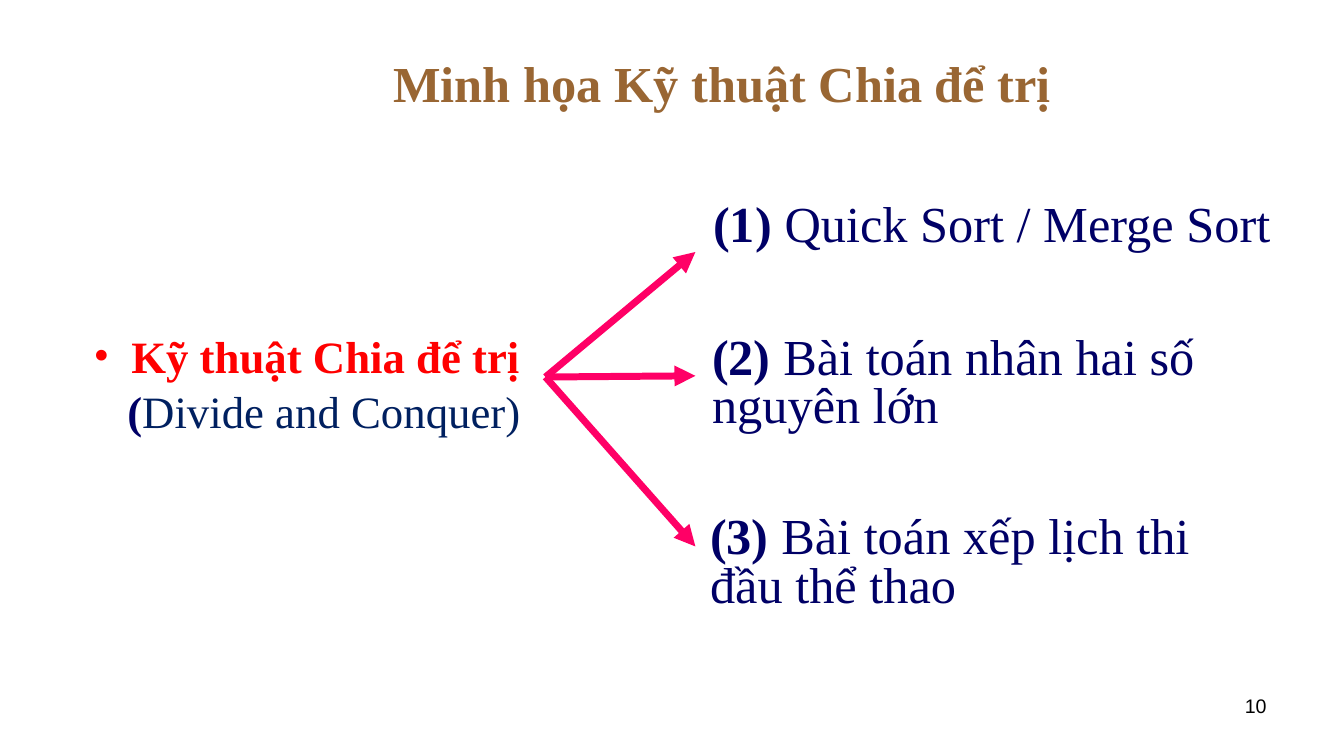
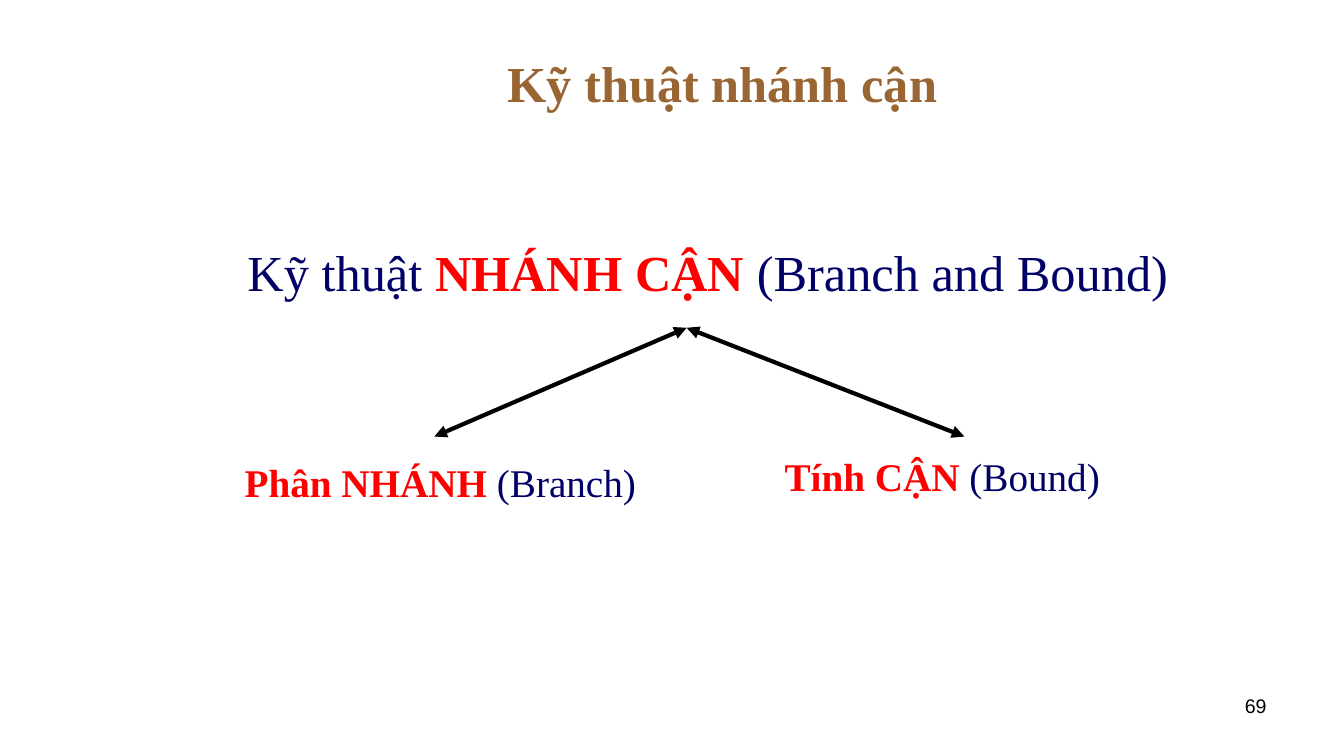
from lxml.etree import SubElement
from pptx import Presentation
from pptx.dml.color import RGBColor
from pptx.enum.shapes import MSO_CONNECTOR
from pptx.enum.text import MSO_ANCHOR, PP_ALIGN
from pptx.oxml.ns import qn
from pptx.util import Cm, Pt

BROWN, NAVY, RED = "996633", "000066", "FF0000"
BLUE, PINK, BLACK = "002060", "FF0066", "000000"
SERIF, SANS = "Times New Roman", "Arial"


def add_text(slide, box, size, paragraphs, font=SERIF, align=PP_ALIGN.LEFT,
             spacing=1.0, anchor=MSO_ANCHOR.TOP):
    """Add a text box; each paragraph is a list of (text, colour, bold) runs."""
    tf = slide.shapes.add_textbox(*[Cm(v) for v in box]).text_frame
    tf.word_wrap = True
    tf.vertical_anchor = anchor
    for i, runs in enumerate(paragraphs):
        p = tf.add_paragraph() if i else tf.paragraphs[0]
        p.alignment = align
        p.line_spacing = spacing
        for text, colour, bold in runs:
            r = p.add_run()
            r.text = text
            r.font.name = font
            r.font.size = Pt(size)
            r.font.bold = bold
            r.font.color.rgb = RGBColor.from_string(colour)
    return tf


def add_arrow(slide, start, end, colour, width, ends):
    line = slide.shapes.add_connector(
        MSO_CONNECTOR.STRAIGHT, *[Cm(v) for v in start + end])
    line.line.color.rgb = RGBColor.from_string(colour)
    line.line.width = Pt(width)
    ln = line.line._get_or_add_ln()
    for tag in ends:
        SubElement(ln, qn(tag), type="triangle")
    SubElement(line._element.spPr, qn("a:effectLst"))


prs = Presentation()
prs.slide_width, prs.slide_height = Cm(33.88), Cm(19.05)

# Shared title and page number
slides = []
for title, number in (("Minh họa Kỹ thuật Chia để trị", "10"),
                      ("Kỹ thuật nhánh cận", "69")):
    s = prs.slides.add_slide(prs.slide_layouts[6])
    add_text(s, (4.24, 0.76, 27.94, 2.62), 36, [[(title, BROWN, True)]],
             align=PP_ALIGN.CENTER, anchor=MSO_ANCHOR.MIDDLE)
    add_text(s, (24.28, 17.35, 7.9, 1.32), 14, [[(number, BLACK, False)]],
             font=SANS, align=PP_ALIGN.RIGHT)
    slides.append(s)
divide, branch = slides

# Divide and conquer: technique on the left, three examples on the right
tf = add_text(divide, (2.11, 8.43, 11.63, 2.97), 32, [
    [("Kỹ thuật Chia để trị", RED, True)],
    [("(", NAVY, True), ("Divide and Conquer)", BLUE, False)],
], spacing=0.8)
name, english = tf.paragraphs
pPr = name._p.get_or_add_pPr()
pPr.set("marL", str(Cm(0.95)))
pPr.set("indent", str(-Cm(0.95)))
SubElement(SubElement(pPr, qn("a:buClr")), qn("a:srgbClr"), val=RED)
SubElement(pPr, qn("a:buFont"), typeface=SERIF)
SubElement(pPr, qn("a:buChar"), char="•")
english._p.get_or_add_pPr().set("marL", str(Cm(0.85)))
english.space_before = Pt(8)

examples = [
    ("Quick Sort / Merge Sort", (17.73, 4.88, 15.24, 1.98), 0.9, 6.35),
    ("Bài toán nhân hai số nguyên lớn", (17.7, 8.36, 14.22, 2.97), 0.8, 9.47),
    ("Bài toán xếp lịch thi đầu thể thao", (17.65, 12.88, 14.2, 2.97), 0.8, 13.77),
]
for i, (text, box, spacing, tip) in enumerate(examples, 1):
    add_text(divide, box, 36, [[(f"({i}) ", NAVY, True), (text, NAVY, False)]],
             spacing=spacing)
    add_arrow(divide, (13.75, 9.5), (17.53, tip), PINK, 5, ["a:tailEnd"])

# Branch and bound: technique above its two parts
add_text(branch, (5.99, 5.94, 24.56, 3.38), 36, [[
    ("Kỹ thuật ", NAVY, False), ("NHÁNH CẬN ", RED, True),
    ("(Branch and Bound)", NAVY, False)]])
parts = [
    ("Phân NHÁNH ", "(Branch)", (5.92, 11.43, 10.52, 1.7), 10.95),
    ("Tính CẬN ", "(Bound)", (19.53, 11.28, 8.69, 1.7), 24.31),
]
for text, translation, box, tip in parts:
    add_text(branch, box, 28, [[(text, RED, True), (translation, NAVY, False)]])
    add_arrow(branch, (17.31, 8.26), (tip, 11), BLACK, 3,
              ["a:headEnd", "a:tailEnd"])

prs.save("out.pptx")
